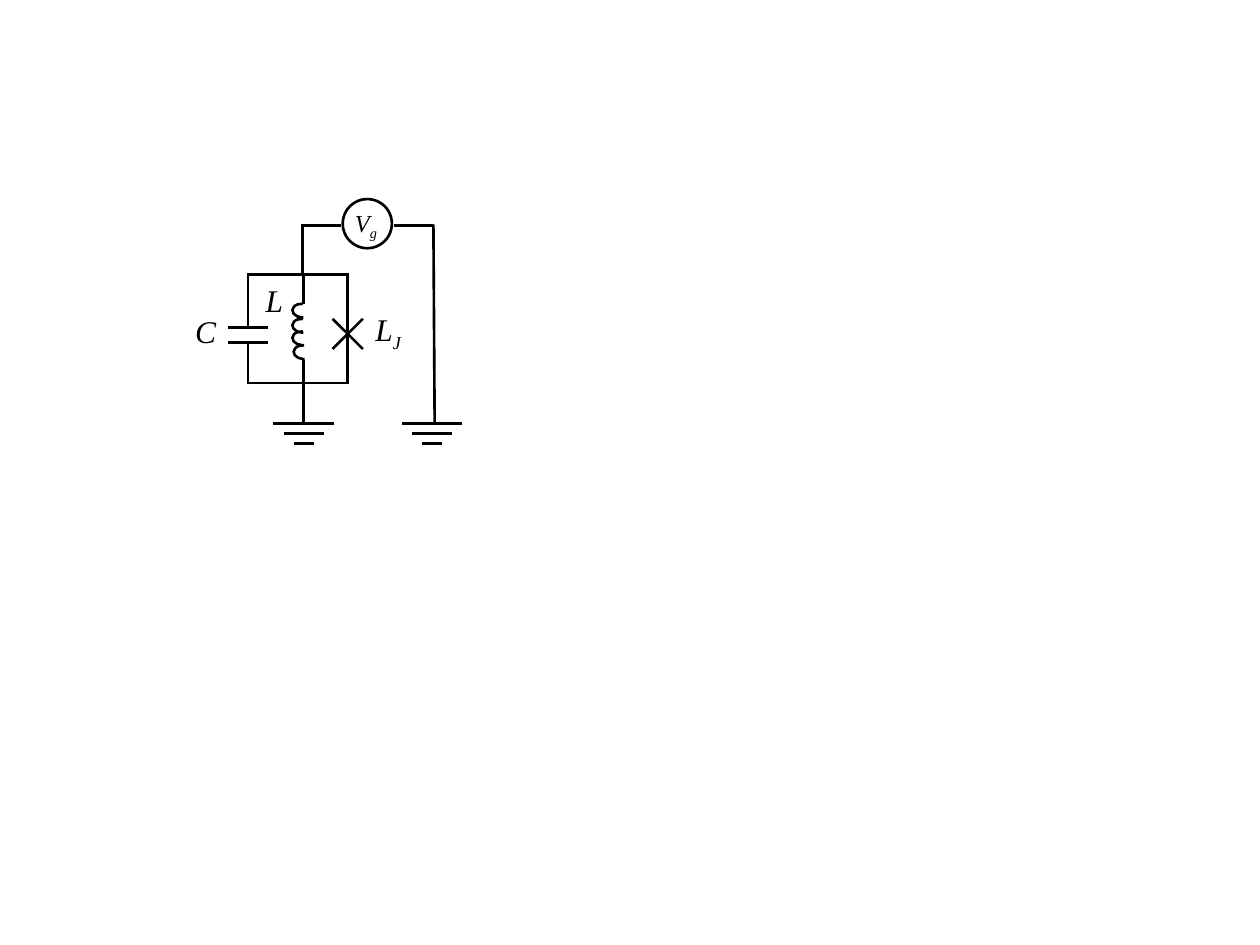
from pptx import Presentation
from pptx.dml.color import RGBColor
from pptx.enum.shapes import MSO_CONNECTOR, MSO_SHAPE
from pptx.enum.text import MSO_AUTO_SIZE, PP_ALIGN
from pptx.oxml.ns import qn
from pptx.util import Inches, Pt
from lxml import etree

STRAIGHT = MSO_CONNECTOR.STRAIGHT
ARC, OVAL = MSO_SHAPE.ARC, MSO_SHAPE.OVAL
GROW = MSO_AUTO_SIZE.SHAPE_TO_FIT_TEXT
LEFT, CENTER = PP_ALIGN.LEFT, PP_ALIGN.CENTER
COLORS = {"ink": "000000"}
FONT = "Times New Roman"
INK = RGBColor.from_string(COLORS["ink"])
CAP, COIL, JOIN, DROP = 1.97, 2.41, 2.76, 3.44
FEED, TOP, LOW, EARTH = 1.79, 2.18, 3.04, 3.36
PLATES = 2.6, 2.72


def pen(line):
    """Give a line the ink colour and the common width."""
    line.color.rgb = INK
    line.width = Pt(1.5)


def wire(shapes, *ends):
    """Draw a straight wire from x1, y1 to x2, y2."""
    link = shapes.add_connector(STRAIGHT, *map(Inches, ends))
    pen(link.line)
    etree.SubElement(link._element.spPr, qn("a:effectLst"))


def bar(shapes, mid, y, half):
    """Draw a level bar centred on mid."""
    wire(shapes, mid - half, y, mid + half, y)


def outline(shapes, kind, *box):
    """Add an unfilled shape and return it."""
    shape = shapes.add_shape(kind, *map(Inches, box))
    shape.shadow.inherit = False
    shape.fill.background()
    pen(shape.line)
    return shape


def label(shapes, text, box, sub="", size=18, align=LEFT):
    """Write an italic symbol with an optional subscript."""
    frame = shapes.add_textbox(*map(Inches, box)).text_frame
    frame.word_wrap = False
    frame.auto_size = GROW
    para = frame.paragraphs[0]
    para.alignment = align
    for part, base in ((text, 0), (sub, -25000)):
        if not part:
            continue
        run = para.add_run()
        run.text = part
        run.font.name = FONT
        run.font.size = Pt(size)
        run.font.italic = True
        run.font.color.rgb = INK
        if base:
            run._r.get_or_add_rPr().set("baseline", str(base))


def ground(shapes, mid):
    """Draw three shrinking bars of an earth symbol."""
    for step in range(3):
        bar(shapes, mid, EARTH + 0.08 * step, 0.24 - 0.08 * step)


def coil(shapes):
    """Draw the turns of the inductor and its leads."""
    for x, y in ((2.33, 2.74), (2.32, 2.63), (2.32, 2.53), (2.32, 2.41)):
        turn = outline(shapes, ARC, x, y, 0.16, 0.11)
        turn.adjustments[0] = 155.385
        turn.adjustments[1] = 53.764
        turn.rotation = 183.7
    wire(shapes, COIL, TOP, COIL, 2.41)
    wire(shapes, COIL, 2.86, COIL, LOW)


def plates(shapes):
    """Draw the capacitor and its leads."""
    for y, end in zip(PLATES, (TOP, LOW)):
        bar(shapes, CAP, y, 0.16)
        wire(shapes, CAP, y, CAP, end)


def cross(shapes):
    """Draw the junction branch with its cross."""
    wire(shapes, JOIN, TOP, JOIN, LOW)
    for y1, y2 in ((2.53, 2.77), (2.77, 2.53)):
        wire(shapes, JOIN - 0.12, y1, JOIN + 0.12, y2)


def source(shapes):
    """Draw the voltage source and its feed wires."""
    outline(shapes, OVAL, 2.72, 1.58, 0.39, 0.39)
    label(shapes, "V", (2.71, 1.6, 0.39, 0.34), sub="g", size=14, align=CENTER)
    wire(shapes, 2.39, FEED, 2.71, FEED)
    wire(shapes, 3.13, FEED, DROP, FEED)
    wire(shapes, 2.4, 1.78, 2.4, TOP)
    wire(shapes, DROP, 1.78, DROP + 0.01, EARTH)


def main():
    """Build the circuit slide."""
    deck = Presentation()
    deck.slide_width, deck.slide_height = Inches(10), Inches(7.5)
    shapes = deck.slides.add_slide(deck.slide_layouts[6]).shapes
    source(shapes)
    for y in (TOP, LOW):
        wire(shapes, CAP - 0.01, y, JOIN + 0.01, y)
    plates(shapes)
    coil(shapes)
    cross(shapes)
    wire(shapes, COIL, LOW, COIL, EARTH)
    for mid in (COIL, 3.43):
        ground(shapes, mid)
    label(shapes, "C", (1.45, 2.43, 0.37, 0.4))
    label(shapes, "L", (2.88, 2.41, 0.42, 0.4), sub="J")
    label(shapes, "L", (2.01, 2.18, 0.34, 0.4))
    deck.save("out.pptx")


if __name__ == "__main__":
    main()
